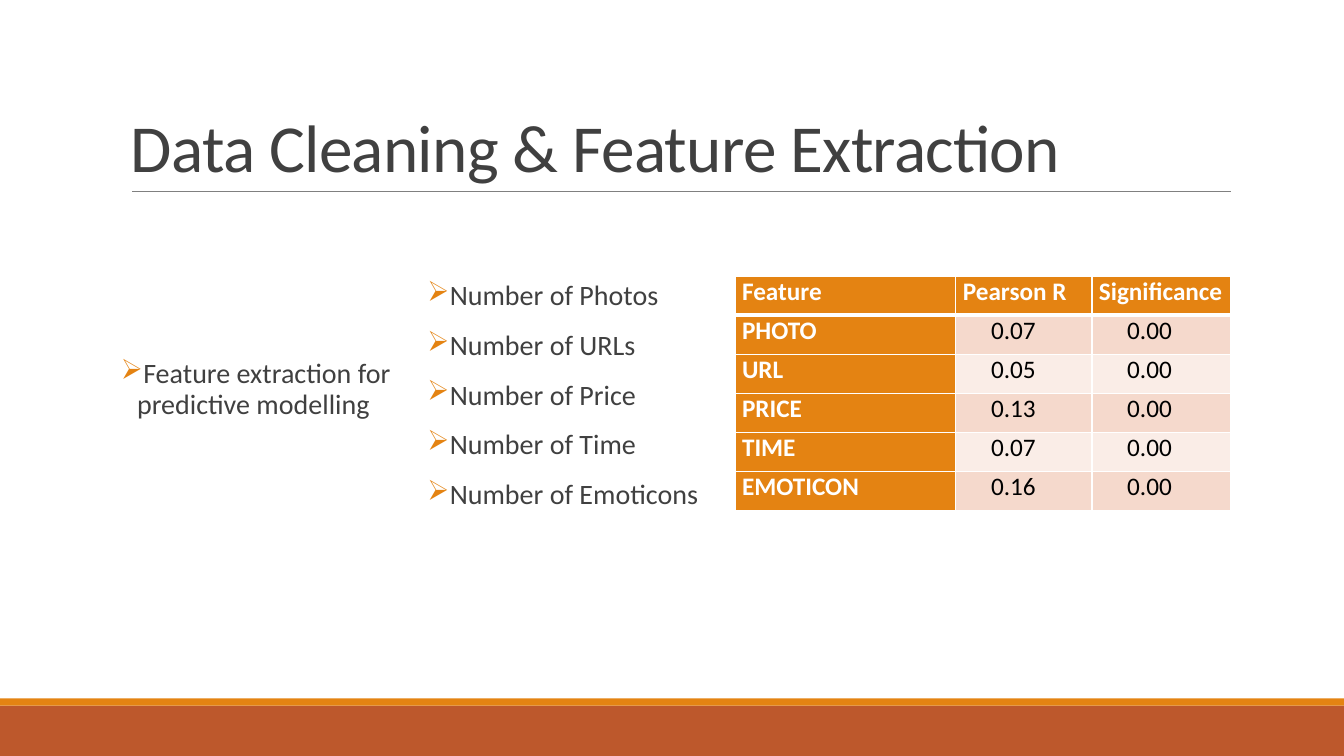
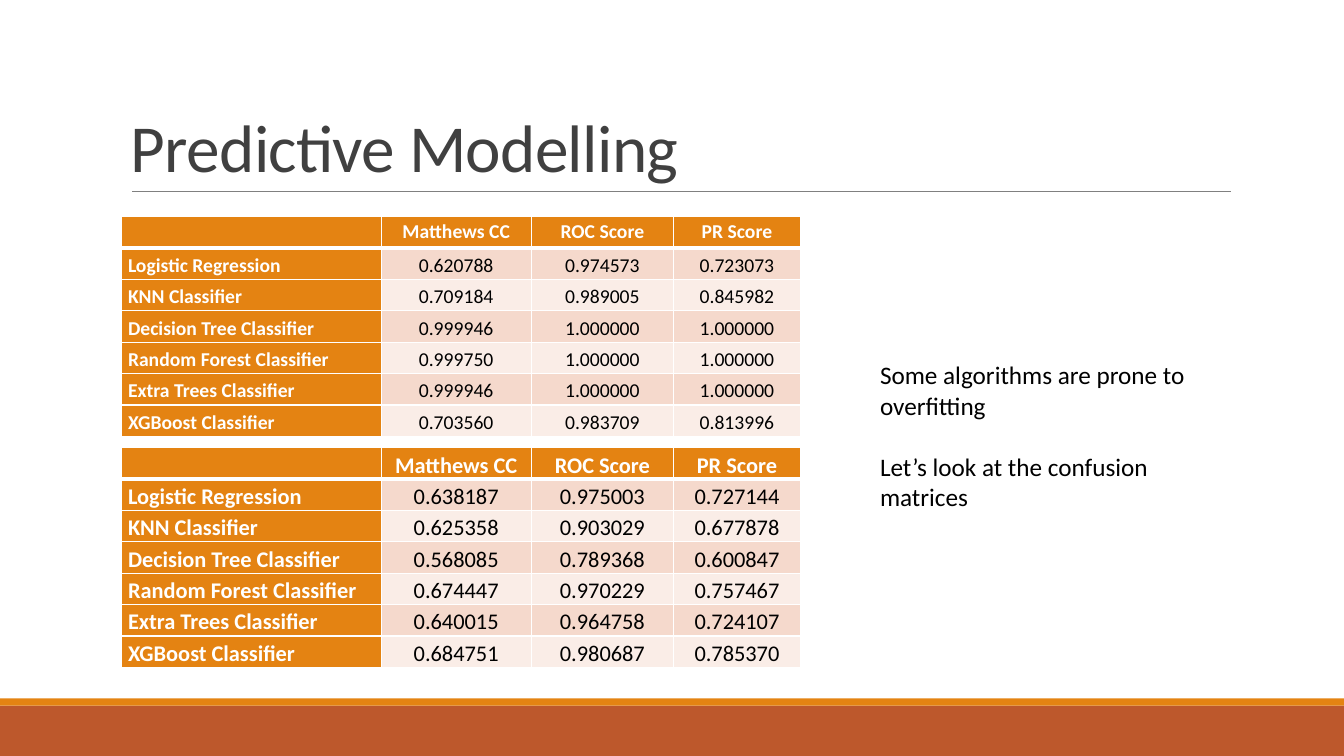
import pptx
import pptx.dml.color
import pptx.enum.shapes
import pptx.enum.text
import pptx.oxml
import pptx.oxml.ns
import pptx.util
from lxml import etree

Inches, Pt = pptx.util.Inches, pptx.util.Pt
ALIGN = pptx.enum.text.PP_ALIGN
ANCHOR = pptx.enum.text.MSO_ANCHOR
qn = pptx.oxml.ns.qn

FONT = "Calibri"
ORANGE, RUST, GREY, DARK = "E48312", "BD582C", "808080", "404040"
WHITE, BLACK = "FFFFFF", "000000"
STRIPES = ("FAEDE7", "F5D9CC")

FEATURES = ["Photos", "URLs", "Price", "Time", "Emoticons"]
CORRELATIONS = [
    ["Feature", "Pearson R", "Significance"],
    ["PHOTO", "0.07", "0.00"],
    ["URL", "0.05", "0.00"],
    ["PRICE", "0.13", "0.00"],
    ["TIME", "0.07", "0.00"],
    ["EMOTICON", "0.16", "0.00"],
]
SCORE_HEADER = ["", "Matthews CC", "ROC Score", "PR Score"]
CLASSIFIERS = ["Logistic Regression", "KNN Classifier", "Decision Tree Classifier",
               "Random Forest Classifier", "Extra Trees Classifier", "XGBoost Classifier"]
FIRST_SCORES = [
    ["0.620788", "0.974573", "0.723073"],
    ["0.709184", "0.989005", "0.845982"],
    ["0.999946", "1.000000", "1.000000"],
    ["0.999750", "1.000000", "1.000000"],
    ["0.999946", "1.000000", "1.000000"],
    ["0.703560", "0.983709", "0.813996"],
]
SECOND_SCORES = [
    ["0.638187", "0.975003", "0.727144"],
    ["0.625358", "0.903029", "0.677878"],
    ["0.568085", "0.789368", "0.600847"],
    ["0.674447", "0.970229", "0.757467"],
    ["0.640015", "0.964758", "0.724107"],
    ["0.684751", "0.980687", "0.785370"],
]


def rgb(color):
    return pptx.dml.color.RGBColor.from_string(color)


def format_runs(p, size, color, bold=False):
    for r in p.runs:
        r.font.name = FONT
        r.font.size = Pt(size)
        r.font.bold = bold
        r.font.color.rgb = rgb(color)


def add_text(slide, box, lines, size, color, side_inset=0.1):
    """Add a wrapping text box with one paragraph per line."""
    tf = slide.shapes.add_textbox(*map(Inches, box)).text_frame
    tf.word_wrap = True
    tf.margin_left = tf.margin_right = Inches(side_inset)
    tf.text = "\n".join(lines)
    for p in tf.paragraphs:
        format_runs(p, size, color)
    return tf


def add_bullets(slide, box, lines, indent):
    tf = add_text(slide, box, lines, 20, DARK, side_inset=0)
    for p in tf.paragraphs:
        p.line_spacing = 0.9
        p.space_before, p.space_after = Pt(12), Pt(2)
        pPr = p._p.get_or_add_pPr()
        pPr.set("marL", str(Inches(indent)))
        pPr.set("indent", str(-Inches(indent)))
        bullet_color = etree.SubElement(pPr, qn("a:buClr"))
        etree.SubElement(bullet_color, qn("a:srgbClr"), val=ORANGE)
        etree.SubElement(pPr, qn("a:buChar"), char="➢")


def add_band(slide, top, height, color):
    sp = slide.shapes.add_shape(pptx.enum.shapes.MSO_SHAPE.RECTANGLE, 0, Inches(top),
                                Inches(13.33), Inches(height))
    sp.shadow.inherit = False
    sp.fill.solid()
    sp.fill.fore_color.rgb = rgb(color)
    sp.line.fill.background()


def add_title_slide_frame(prs, title):
    """Add a slide with the shared bands, title and rule under it."""
    slide = prs.slides.add_slide(prs.slide_layouts[6])
    add_band(slide, 7, 0.5, RUST)
    add_band(slide, 6.93, 0.07, ORANGE)
    rule = slide.shapes.add_connector(pptx.enum.shapes.MSO_CONNECTOR.STRAIGHT,
                                      Inches(1.31), Inches(1.9), Inches(12.21), Inches(1.9))
    rule.line.color.rgb = rgb(GREY)
    rule.line.width = Pt(0.5)
    etree.SubElement(rule._element.spPr, qn("a:effectLst"))
    tf = add_text(slide, (1.2, 0.31, 11, 1.59), [title], 48, DARK)
    tf.vertical_anchor = ANCHOR.BOTTOM
    p = tf.paragraphs[0]
    p.line_spacing = 0.85
    p.runs[0]._r.get_or_add_rPr().set("spc", "-50")
    return slide


def set_borders(cell, top, bottom):
    """Draw white cell borders; top and bottom are widths in points."""
    tcPr = cell._tc.get_or_add_tcPr()
    widths = {"a:lnL": 1, "a:lnR": 1, "a:lnT": top, "a:lnB": bottom}
    for i, (tag, width) in enumerate(widths.items()):
        ln = etree.Element(qn(tag), w=str(Pt(width)))
        fill = etree.SubElement(ln, qn("a:solidFill"))
        etree.SubElement(fill, qn("a:srgbClr"), val=WHITE)
        tcPr.insert(i, ln)


def add_grid(slide, left, top, height, widths, rows, size, line_spacing=1.0,
             align=ALIGN.LEFT, value_inset=0.07, anchor=ANCHOR.TOP):
    """Add a table with a header row, a header column and striped values."""
    table = slide.shapes.add_table(len(rows), len(widths), Inches(left), Inches(top),
                                   Inches(sum(widths)), Inches(height)).table
    for column, width in zip(table.columns, widths):
        column.width = Inches(width)
    for i, row in enumerate(rows):
        table.rows[i].height = Inches(height / len(rows))
        for j, text in enumerate(row):
            cell = table.cell(i, j)
            heading = i == 0 or j == 0
            cell.margin_top = cell.margin_bottom = 0
            cell.margin_left = Inches(0.07 if heading else value_inset)
            cell.margin_right = Inches(0.07)
            cell.vertical_anchor = anchor if i else ANCHOR.TOP
            cell.fill.solid()
            cell.fill.fore_color.rgb = rgb(ORANGE if heading else STRIPES[i % 2])
            set_borders(cell, 3 if i == 1 else 1, 3 if i == 0 else 1)
            if text:
                cell.text_frame.text = text
                p = cell.text_frame.paragraphs[0]
                p.alignment = align if j else ALIGN.LEFT
                p.line_spacing = line_spacing
                format_runs(p, size, WHITE if heading else BLACK, heading)


def add_scores(slide, top, scores, size):
    rows = [SCORE_HEADER] + [[name] + row for name, row in zip(CLASSIFIERS, scores)]
    add_grid(slide, 1.2, top, 2.18, (2.58, 1.49, 1.41, 1.26), rows, size,
             line_spacing=1.15, align=ALIGN.CENTER, anchor=ANCHOR.MIDDLE)


def build_features(prs):
    slide = add_title_slide_frame(prs, "Data Cleaning & Feature Extraction")
    add_bullets(slide, (1.2, 3.52, 3.04, 0.8),
                ["Feature extraction for predictive modelling"], 0.16)
    add_bullets(slide, (4.24, 2.74, 3.04, 2.6),
                [f"Number of {feature}" for feature in FEATURES], 0.1)
    add_grid(slide, 7.29, 2.74, 2.33, (2.19, 1.35, 1.38), CORRELATIONS, 18,
             value_inset=0.35)


def build_modelling(prs):
    slide = add_title_slide_frame(prs, "Predictive Modelling")
    add_scores(slide, 2.15, FIRST_SCORES, 14)
    add_scores(slide, 4.44, SECOND_SCORES, 16)
    tf = add_text(slide, (8.63, 3.52, 3.26, 1.62),
                  ["Some algorithms are prone to overfitting",
                   "Let’s look at the confusion matrices"], 18, BLACK)
    tf.paragraphs[1].space_before = Pt(22)


def main():
    prs = pptx.Presentation()
    prs.slide_width, prs.slide_height = Inches(13.33), Inches(7.5)
    build_features(prs)
    build_modelling(prs)
    prs.save("out.pptx")


if __name__ == "__main__":
    main()
